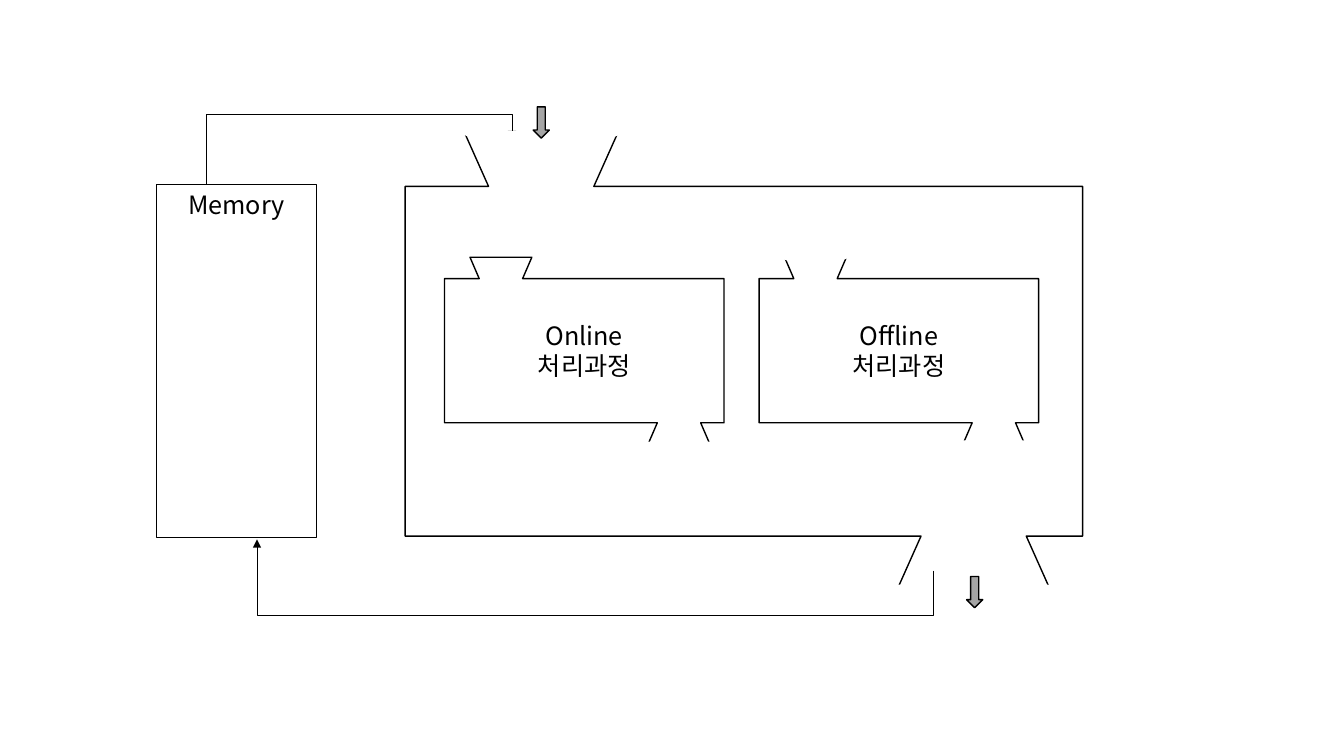
from lxml import etree
from pptx import Presentation
from pptx.dml.color import RGBColor
from pptx.enum import shapes, text
from pptx.oxml import ns
from pptx.util import Pt

BLACK = RGBColor(0, 0, 0)
WHITE = RGBColor(255, 255, 255)
GRAY = RGBColor(0xA5, 0xA5, 0xA5)
FONT = "Noto Sans CJK KR"
MASK_WIDTH, MASK_HEIGHT = 128.9, 20.9


def style(shape, fill=None, line=BLACK):
    """Set fill and outline; None means no paint."""
    shape.shadow.inherit = False
    if fill is None:
        shape.fill.background()
    else:
        shape.fill.solid()
        shape.fill.fore_color.rgb = fill
    if line is None:
        shape.line.fill.background()
    else:
        shape.line.color.rgb = line
        shape.line.width = Pt(1)


def write(shape, content, size=18, color=BLACK, anchor=text.MSO_ANCHOR.MIDDLE):
    """Write centred lines of text, one paragraph for each."""
    frame = shape.text_frame
    frame.word_wrap = True
    frame.vertical_anchor = anchor
    frame.text = content
    for paragraph in frame.paragraphs:
        paragraph.alignment = text.PP_ALIGN.CENTER
        for run in paragraph.runs:
            run.font.name = FONT
            run.font.size = Pt(size)
            run.font.color.rgb = color
            east_asian = etree.SubElement(run.font._element, ns.qn("a:ea"))
            east_asian.set("typeface", FONT)


def add_preset(slide, kind, left, top, width, height, **paint):
    shape = slide.shapes.add_shape(kind, Pt(left), Pt(top), Pt(width), Pt(height))
    style(shape, **paint)
    return shape


def add_room(slide, left, top, right, bottom, inlet, outlet, mouth, neck, lip):
    """Draw a room with a funnel centred at inlet on top and at outlet below.

    mouth and neck are half widths of the funnels, lip is their depth.
    """
    points = [
        (inlet - mouth, top - lip), (inlet + mouth, top - lip),
        (inlet + neck, top), (right, top), (right, bottom),
        (outlet + neck, bottom), (outlet + mouth, bottom + lip),
        (outlet - mouth, bottom + lip), (outlet - neck, bottom),
        (left, bottom), (left, top), (inlet - neck, top),
    ]
    points = [(Pt(x), Pt(y)) for x, y in points]
    builder = slide.shapes.build_freeform(*points[0])
    builder.add_line_segments(points[1:], close=True)
    room = builder.convert_to_shape()
    style(room)
    return room


def add_opening(slide, center, top):
    """Open a funnel's mouth with a white triangle pointing down."""
    opening = add_preset(slide, shapes.MSO_SHAPE.ISOSCELES_TRIANGLE,
                         center - MASK_WIDTH / 2, top, MASK_WIDTH, MASK_HEIGHT,
                         fill=WHITE, line=None)
    opening.rotation = 180


def add_flow(slide, start, end, turn):
    """Draw an elbow arrow that leaves vertically and crosses at height turn."""
    (x1, y1), (x2, y2) = start, end
    middle_x, middle_y = (x1 + x2) / 2, (y1 + y2) / 2
    # Ends before the quarter turn about the middle
    ends = [(middle_x + y - middle_y, middle_y - x + middle_x)
            for x, y in (start, end)]
    flow = slide.shapes.add_connector(
        shapes.MSO_CONNECTOR.ELBOW, *[Pt(value) for point in ends for value in point])
    flow.line.color.rgb = BLACK
    flow.line.width = Pt(0.5)
    properties = flow._element.spPr
    properties.find(ns.qn("a:xfrm")).set("rot", str(90 * 60000))
    adjustments = properties.find(ns.qn("a:prstGeom")).find(ns.qn("a:avLst"))
    share = round((turn - y1) / (y2 - y1) * 100000)
    etree.SubElement(adjustments, ns.qn("a:gd"), name="adj1", fmla=f"val {share}")
    etree.SubElement(flow.line._get_or_add_ln(), ns.qn("a:tailEnd"), type="triangle")
    etree.SubElement(properties, ns.qn("a:effectLst"))


def main():
    presentation = Presentation()
    presentation.slide_width, presentation.slide_height = Pt(960), Pt(540)
    slide = presentation.slides.add_slide(presentation.slide_layouts[6])

    # Flow from memory to the inlet
    add_flow(slide, (147.6, 144.7), (365.8, 99.4), turn=81.4)

    # Inner processes with their open funnels
    processes = [
        ("Online", 0, 485, [(490, 315.4)]),
        ("Offline", 224.7, 485.2 + 224.7, [(581.4, 171.4), (682.2, 314.6)]),
    ]
    for name, shift, outlet, openings in processes:
        room = add_room(slide, 317.5 + shift, 199, 517.2 + shift, 302,
                        inlet=357.8 + shift, outlet=outlet,
                        mouth=22.1, neck=15.5, lip=15.3)
        write(room, f"{name}\n처리과정")
        for center, top in openings:
            add_opening(slide, center, top)

    # Outer system
    add_room(slide, 289.4, 133.2, 773.3, 383, inlet=386.6, outlet=695.5,
             mouth=54, neck=37.6, lip=36.7)
    add_opening(slide, 387, 93.6)
    add_opening(slide, 696, 417.6)

    # Input and output arrows
    for left, top in [(380.9, 76.3), (690.5, 411.8)]:
        add_preset(slide, shapes.MSO_SHAPE.DOWN_ARROW, left, top, 11.5, 22.3, fill=GRAY)

    # Memory and the flow back to it
    memory = add_preset(slide, shapes.MSO_SHAPE.RECTANGLE, 111.6, 131.8, 114.5, 252,
                        fill=WHITE)
    write(memory, "Memory", anchor=text.MSO_ANCHOR.TOP)
    add_flow(slide, (666.7, 407.5), (183.6, 385.2), turn=439.2)

    presentation.save("out.pptx")


if __name__ == "__main__":
    main()
